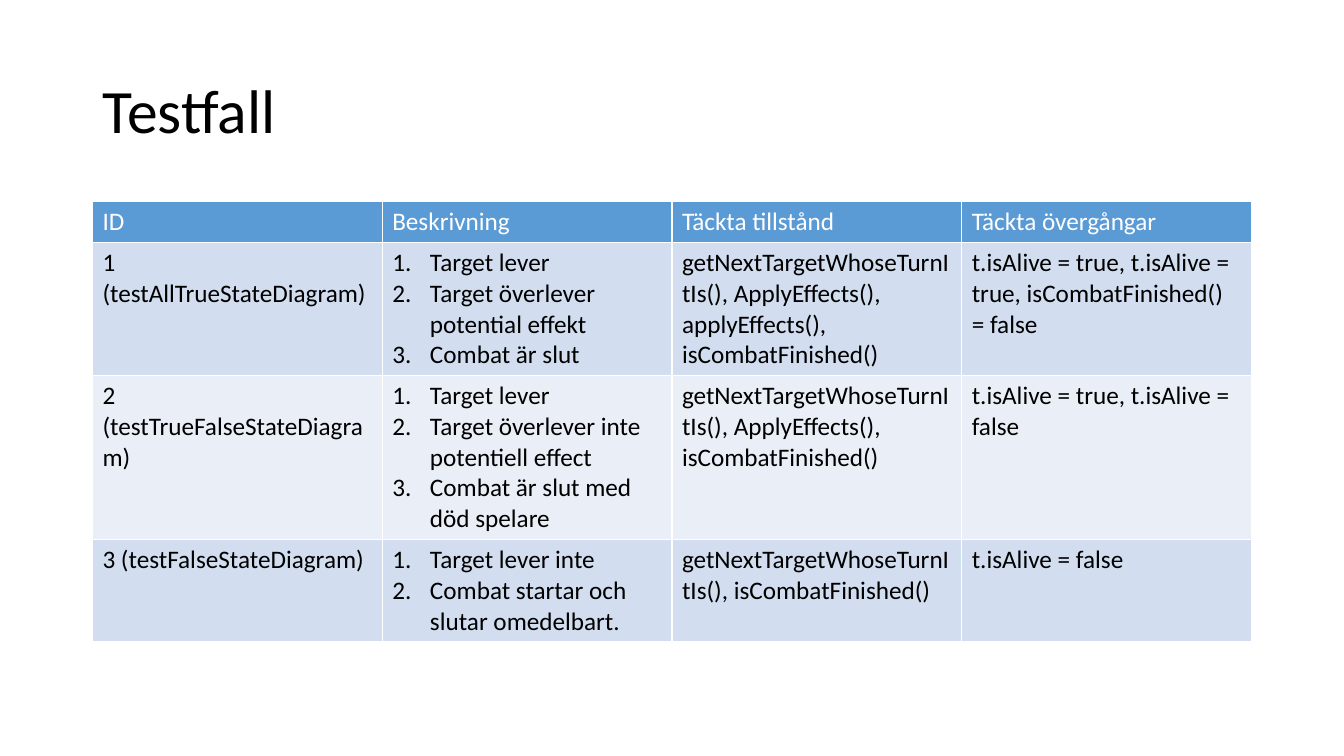
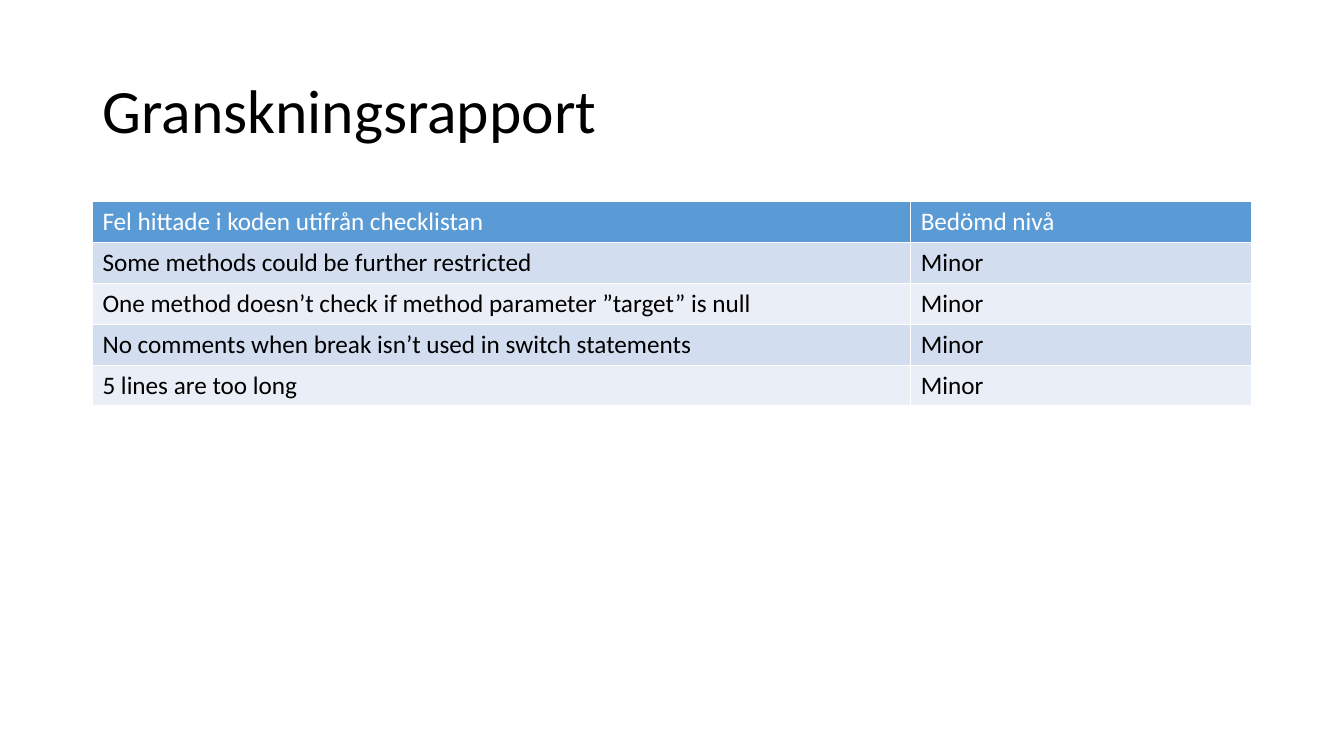
from lxml import etree
from pptx import Presentation
from pptx.dml.color import RGBColor
from pptx.enum.text import MSO_ANCHOR, MSO_AUTO_SIZE, PP_ALIGN
from pptx.oxml.ns import qn
from pptx.util import Cm, Pt

LEFT = PP_ALIGN.LEFT
MIDDLE = MSO_ANCHOR.MIDDLE
NO_AUTOFIT = MSO_AUTO_SIZE.NONE

TITLE_ONLY = 5
CONTENT_LEFT, CONTENT_WIDTH = 2.33, 29.21
TABLE_TOP = 5.08
LINE_HEIGHT, CELL_PADDING = 0.76, 0.27
LIST_INDENT = Cm(0.95)


def rgb(hex_color):
    return RGBColor.from_string(hex_color)


def write(paragraph, text, size=18, color="000000", spacing=1.0):
    paragraph.alignment = LEFT
    paragraph.line_spacing = spacing
    run = paragraph.add_run()
    run.text = text
    run.font.name = "Calibri"
    run.font.size = Pt(size)
    run.font.bold = False
    run.font.color.rgb = rgb(color)


def number(paragraph):
    """Turn the paragraph into an item of a numbered list."""
    properties = paragraph._p.get_or_add_pPr()
    properties.set("marL", str(LIST_INDENT))
    properties.set("indent", str(-LIST_INDENT))
    etree.SubElement(properties, qn("a:buAutoNum"), type="arabicPeriod")


class Deck:
    HEADER = "5B9BD5"
    BANDS = ("D2DEEF", "EAEFF7")
    WHITE = "FFFFFF"

    def __init__(self):
        self.presentation = Presentation()
        self.presentation.slide_width = Cm(33.87)
        self.presentation.slide_height = Cm(19.05)
        self.slide = None

    def add_slide(self, heading):
        layout = self.presentation.slide_layouts[TITLE_ONLY]
        self.slide = self.presentation.slides.add_slide(layout)
        title = self.slide.shapes.title
        title.left, title.top = Cm(CONTENT_LEFT), Cm(1.01)
        title.width, title.height = Cm(CONTENT_WIDTH), Cm(3.68)
        frame = title.text_frame
        frame.word_wrap = True
        frame.auto_size = NO_AUTOFIT
        frame.vertical_anchor = MIDDLE
        write(frame.paragraphs[0], heading, size=44, spacing=0.9)

    def add_borders(self, cell):
        properties = cell._tc.get_or_add_tcPr()
        for side in ("lnL", "lnR", "lnT", "lnB"):
            line = etree.SubElement(properties, qn(f"a:{side}"), w=str(Pt(1)))
            fill = etree.SubElement(line, qn("a:solidFill"))
            etree.SubElement(fill, qn("a:srgbClr"), val=self.WHITE)

    def fill_cell(self, cell, content, fill, color):
        """Write a string as plain text and a list as numbered items."""
        self.add_borders(cell)
        cell.fill.solid()
        cell.fill.fore_color.rgb = rgb(fill)
        numbered = isinstance(content, list)
        frame = cell.text_frame
        for index, text in enumerate(content if numbered else [content]):
            paragraph = frame.add_paragraph() if index else frame.paragraphs[0]
            write(paragraph, text, color=color)
            if numbered:
                number(paragraph)

    def add_table(self, rows, widths, line_counts):
        """Add a banded table; line_counts holds the text lines of each row."""
        heights = [CELL_PADDING + LINE_HEIGHT * count for count in line_counts]
        table = self.slide.shapes.add_table(
            len(rows), len(widths), Cm(CONTENT_LEFT), Cm(TABLE_TOP),
            Cm(sum(widths)), Cm(sum(heights))).table
        for column, width in zip(table.columns, widths):
            column.width = Cm(width)
        for row_index, (row, height) in enumerate(zip(rows, heights)):
            table.rows[row_index].height = Cm(height)
            if row_index == 0:
                fill, color = self.HEADER, self.WHITE
            else:
                fill, color = self.BANDS[(row_index - 1) % 2], "000000"
            for column_index, content in enumerate(row):
                self.fill_cell(table.cell(row_index, column_index),
                               content, fill, color)


TEST_CASES = [
    ("ID", "Beskrivning", "Täckta tillstånd", "Täckta övergångar"),
    ("1 (testAllTrueStateDiagram)",
     ["Target lever", "Target överlever potential effekt",
      "Combat är slut"],
     "getNextTargetWhoseTurnItIs(), ApplyEffects(), applyEffects(), "
     "isCombatFinished()",
     "t.isAlive = true, t.isAlive = true, isCombatFinished() = false"),
    ("2 (testTrueFalseStateDiagram)",
     ["Target lever", "Target överlever inte potentiell effect",
      "Combat är slut med död spelare"],
     "getNextTargetWhoseTurnItIs(), ApplyEffects(), isCombatFinished()",
     "t.isAlive = true, t.isAlive = false"),
    ("3 (testFalseStateDiagram)",
     ["Target lever inte", "Combat startar och slutar omedelbart."],
     "getNextTargetWhoseTurnItIs(), isCombatFinished()",
     "t.isAlive = false"),
]

FINDINGS = [
    "Some methods could be further restricted",
    "One method doesn’t check if method parameter ”target” is null",
    "No comments when break isn’t used in switch statements",
    "5 lines are too long",
]


def main():
    deck = Deck()

    deck.add_slide("Testfall")
    deck.add_table(TEST_CASES, [CONTENT_WIDTH / 4] * 4, [1, 4, 5, 3])

    deck.add_slide("Granskningsrapport")
    review = [("Fel hittade i koden utifrån checklistan", "Bedömd nivå")]
    review += [(finding, "Minor") for finding in FINDINGS]
    level_width = 8.59
    deck.add_table(review, [CONTENT_WIDTH - level_width, level_width],
                   [1] * len(review))

    deck.presentation.save("out.pptx")


if __name__ == "__main__":
    main()
